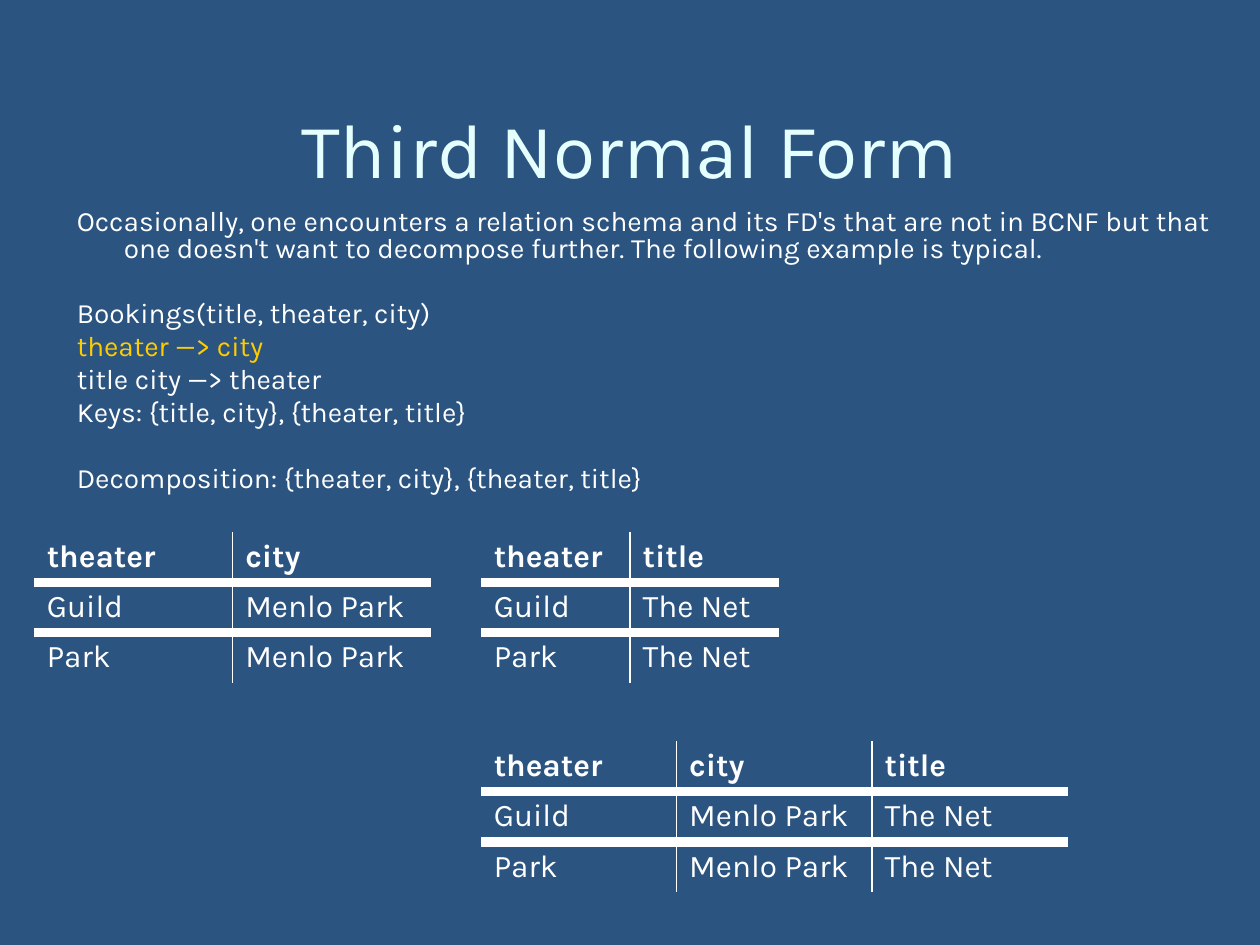
import pptx
import pptx.dml.color
import pptx.enum.text
import pptx.oxml.ns
import pptx.util
from lxml import etree

Cm = pptx.util.Cm
Pt = pptx.util.Pt
RGBColor = pptx.dml.color.RGBColor

NAVY = RGBColor(0x2B, 0x54, 0x81)
ICE = RGBColor(0xE5, 0xFF, 0xFF)
WHITE = RGBColor(0xFF, 0xFF, 0xFF)
GOLD = RGBColor(0xFF, 0xCC, 0x00)

# "No Style, No Grid"
PLAIN_TABLE_STYLE = "{2D5ABB26-0587-4C30-8999-92F81FD0307C}"
LINE_GAP = 3.5    # points between neighbouring paragraphs
BLOCK_GAP = 22    # points before a new block

# text, colour, space before in points
BODY = [
    ("Occasionally, one encounters a relation schema and its FD's that are not "
     "in BCNF but that one doesn't want to decompose further. The following "
     "example is typical.", WHITE, 0),
    ("Bookings(title, theater, city)", WHITE, BLOCK_GAP),
    ("theater —> city", GOLD, LINE_GAP),
    ("title city —> theater", WHITE, LINE_GAP),
    ("Keys: {title, city}, {theater, title}", WHITE, LINE_GAP),
    ("Decomposition: {theater, city}, {theater, title}", WHITE, BLOCK_GAP),
]

THEATERS = ["theater", "Guild", "Park"]
CITIES = ["city", "Menlo Park", "Menlo Park"]
TITLES = ["title", "The Net", "The Net"]

# left, top, column width in cm, columns
RELATIONS = [
    (9.7, 14.94, 3.94, [THEATERS, CITIES, TITLES]),
    (9.7, 10.72, 3, [THEATERS, TITLES]),
    (0.69, 10.72, 4, [THEATERS, CITIES]),
]


class SlideWriter:
    font = "Karla"
    title_size = 44
    body_size = 16
    table_size = 18
    row_height = 1
    grid_width = 1
    header_width = 6

    def __init__(self, page):
        self.page = page
        fill = page.background.fill
        fill.solid()
        fill.fore_color.rgb = NAVY

    def span(self, para, text, size, color, bold=False):
        span = para.add_run()
        span.text = text
        span.font.name = self.font
        span.font.size = Pt(size)
        span.font.bold = bold
        span.font.color.rgb = color

    def title(self, text, left, top, width, height):
        box = self.page.shapes.title
        box.left, box.top = Cm(left), Cm(top)
        box.width, box.height = Cm(width), Cm(height)
        frame = box.text_frame
        frame.vertical_anchor = pptx.enum.text.MSO_ANCHOR.MIDDLE
        para = frame.paragraphs[0]
        para.alignment = pptx.enum.text.PP_ALIGN.CENTER
        self.span(para, text, self.title_size, ICE)

    def body(self, lines, left, top, width, height):
        box = self.page.shapes.add_textbox(Cm(left), Cm(top), Cm(width), Cm(height))
        frame = box.text_frame
        frame.word_wrap = True
        for index, (text, color, gap) in enumerate(lines):
            para = frame.add_paragraph() if index else frame.paragraphs[0]
            para.line_spacing = 0.8
            para.space_before = Pt(gap)
            self.hang(para, 0.95)
            self.span(para, text, self.body_size, color)

    def hang(self, para, indent):
        """Indent every line of the paragraph but the first."""
        properties = para._p.get_or_add_pPr()
        properties.set("marL", str(Cm(indent)))
        properties.set("indent", str(-Cm(indent)))

    def border(self, cell, side, width):
        qn = pptx.oxml.ns.qn
        line = etree.SubElement(cell._tc.get_or_add_tcPr(), qn(f"a:ln{side}"),
                                w=str(Pt(width)))
        fill = etree.SubElement(line, qn("a:solidFill"))
        etree.SubElement(fill, qn("a:srgbClr"), val=str(WHITE))

    def relation(self, left, top, column_width, columns):
        """Draw a table with a heavy rule under its header and rules between columns."""
        rows, count = len(columns[0]), len(columns)
        frame = self.page.shapes.add_table(
            rows, count, Cm(left), Cm(top),
            Cm(column_width * count), Cm(self.row_height * rows))
        table = frame.table
        table.first_row = table.horz_banding = False
        style = table._tbl.tblPr.find(pptx.oxml.ns.qn("a:tableStyleId"))
        style.text = PLAIN_TABLE_STYLE
        for c, values in enumerate(columns):
            for r, text in enumerate(values):
                cell = table.cell(r, c)
                # The schema wants the sides in the order L, R, T, B.
                if c > 0:
                    self.border(cell, "L", self.grid_width)
                if c < count - 1:
                    self.border(cell, "R", self.grid_width)
                if r == 1:
                    self.border(cell, "T", self.header_width)
                if r == 0:
                    self.border(cell, "B", self.header_width)
                cell.fill.background()
                self.span(cell.text_frame.paragraphs[0], text,
                          self.table_size, WHITE, bold=r == 0)


def main():
    deck = pptx.Presentation()
    deck.slide_width, deck.slide_height = Cm(25.4), Cm(19.05)
    title_only = deck.slide_layouts.get_by_name("Title Only")
    writer = SlideWriter(deck.slides.add_slide(title_only))
    writer.title("Third Normal Form", 1.27, 1.07, 22.86, 3.81)
    writer.body(BODY, 1.3, 4.11, 23.39, 6.2)
    for relation in RELATIONS:
        writer.relation(*relation)
    deck.save("out.pptx")


if __name__ == "__main__":
    main()
